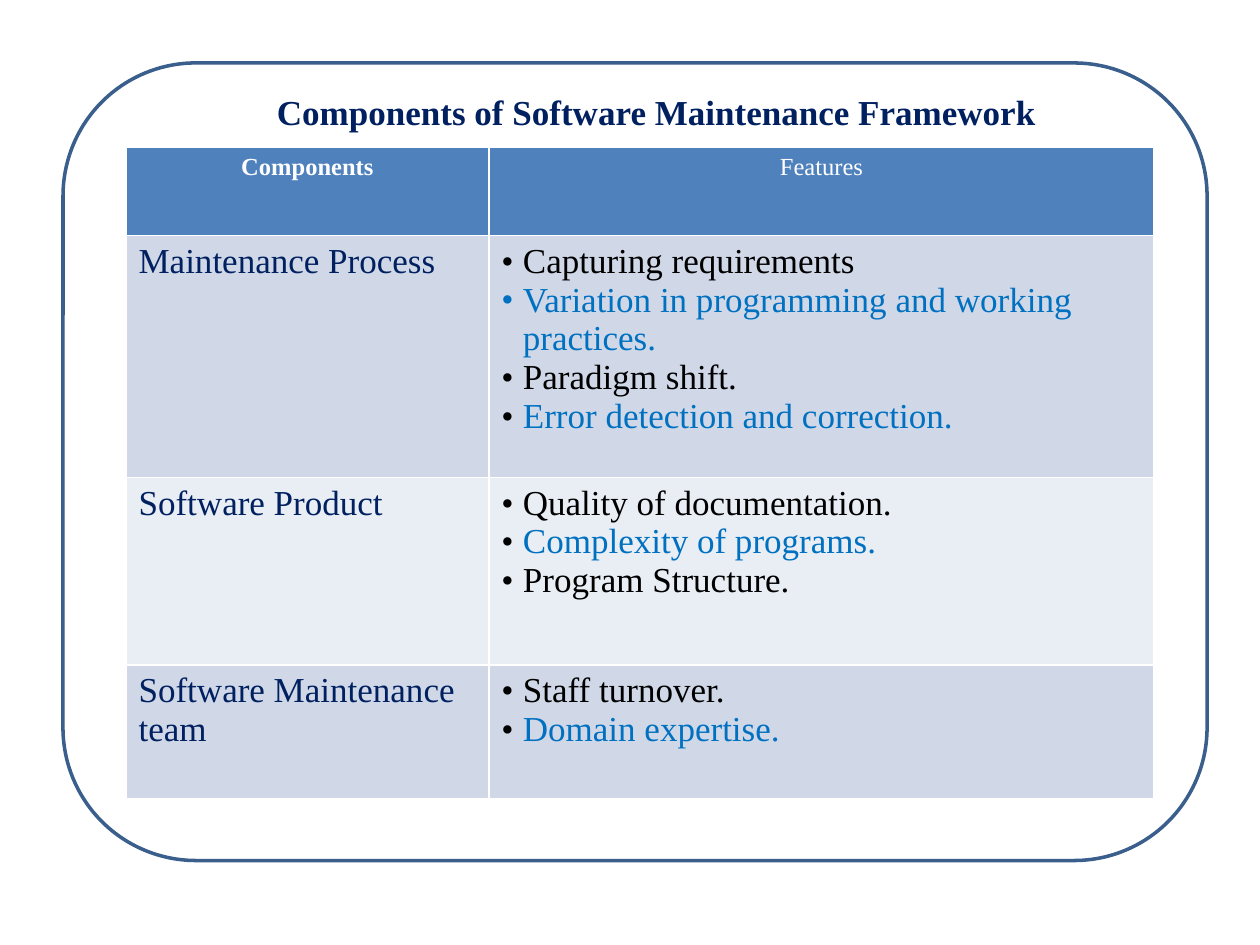
from lxml.etree import SubElement
from pptx import Presentation
from pptx.dml.color import RGBColor
from pptx.enum.shapes import MSO_SHAPE
from pptx.enum.text import MSO_ANCHOR, MSO_AUTO_SIZE, PP_ALIGN
from pptx.oxml.ns import qn
from pptx.util import Inches, Pt

COLORS = {
    "white": "FFFFFF", "outline": "3A5F8C", "navy": "002060", "black": "000000",
    "blue": "0070C0", "header": "4F81BD", "band": "D0D8E8", "light": "E9EDF4",
}
FONT = "Times New Roman"
HEADERS = [("Components", True), ("Features", False)]
COMPONENTS = [
    ("Maintenance Process", "band", [
        ("Capturing requirements", "black", "black"),
        ("Variation in programming and working practices.", "blue", "blue"),
        ("Paradigm shift.", "black", "black"),
        ("Error detection and correction.", "blue", "black"),
    ]),
    ("Software Product", "light", [
        ("Quality of documentation.", "black", "black"),
        ("Complexity of programs.", "blue", "black"),
        ("Program Structure.", "black", "black"),
    ]),
    ("Software Maintenance team", "band", [
        ("Staff turnover.", "black", "black"),
        ("Domain expertise.", "blue", "black"),
    ]),
]


def write(para, text, size, color, bold=False):
    para.text = text
    for span in para.runs:
        span.font.name = FONT
        span.font.size = Pt(size)
        span.font.bold = bold
        span.font.color.rgb = RGBColor.from_string(COLORS[color])


def add_bullet(para, color):
    props = para._p.get_or_add_pPr()
    props.set("marL", str(Inches(0.17)))
    props.set("indent", str(-Inches(0.17)))
    bullet_color = SubElement(props, qn("a:buClr"))
    SubElement(bullet_color, qn("a:srgbClr"), val=COLORS[color])
    SubElement(props, qn("a:buFont"), typeface=FONT)
    SubElement(props, qn("a:buChar"), char="•")


deck = Presentation()
deck.slide_width = Inches(10)
deck.slide_height = Inches(7.5)
page = deck.slides.add_slide(deck.slide_layouts[5])

title = page.shapes.title
title.left, title.top = Inches(1.67), Inches(0.67)
title.width, title.height = Inches(7.08), Inches(0.44)
title.text_frame.word_wrap = True
title.text_frame.auto_size = MSO_AUTO_SIZE.NONE
title.text_frame.vertical_anchor = MSO_ANCHOR.TOP
heading = title.text_frame.paragraphs[0]
write(heading, "Components of Software Maintenance Framework", 20, "navy", True)
heading.alignment = PP_ALIGN.CENTER

frame = page.shapes.add_shape(
    MSO_SHAPE.ROUNDED_RECTANGLE, Inches(0.5), Inches(0.5), Inches(9.08), Inches(6.33))
frame.shadow.inherit = False
frame.fill.solid()
frame.fill.fore_color.rgb = RGBColor.from_string(COLORS["white"])
frame.line.color.rgb = RGBColor.from_string(COLORS["outline"])
frame.line.width = Pt(2)
title.element.addprevious(frame.element)

table = page.shapes.add_table(
    4, 2, Inches(1), Inches(1.17), Inches(8.16), Inches(5.17)).table
for column, width in zip(table.columns, [2.88, 5.28]):
    column.width = Inches(width)
for row, height in zip(table.rows, [0.7, 1.92, 1.49, 1.06]):
    row.height = Inches(height)
for row, fill in zip(table.rows, ["header"] + [fill for _, fill, _ in COMPONENTS]):
    for cell in row.cells:
        cell.fill.solid()
        cell.fill.fore_color.rgb = RGBColor.from_string(COLORS[fill])

for index, (text, bold) in enumerate(HEADERS):
    para = table.cell(0, index).text_frame.paragraphs[0]
    write(para, text, 14, "white", bold)
    para.alignment = PP_ALIGN.CENTER

for index, (component, _, features) in enumerate(COMPONENTS, start=1):
    write(table.cell(index, 0).text_frame.paragraphs[0], component, 20, "navy")
    body = table.cell(index, 1).text_frame
    for position, (text, color, bullet) in enumerate(features):
        para = body.add_paragraph() if position else body.paragraphs[0]
        add_bullet(para, bullet)
        write(para, text, 20, color)

deck.save("out.pptx")
